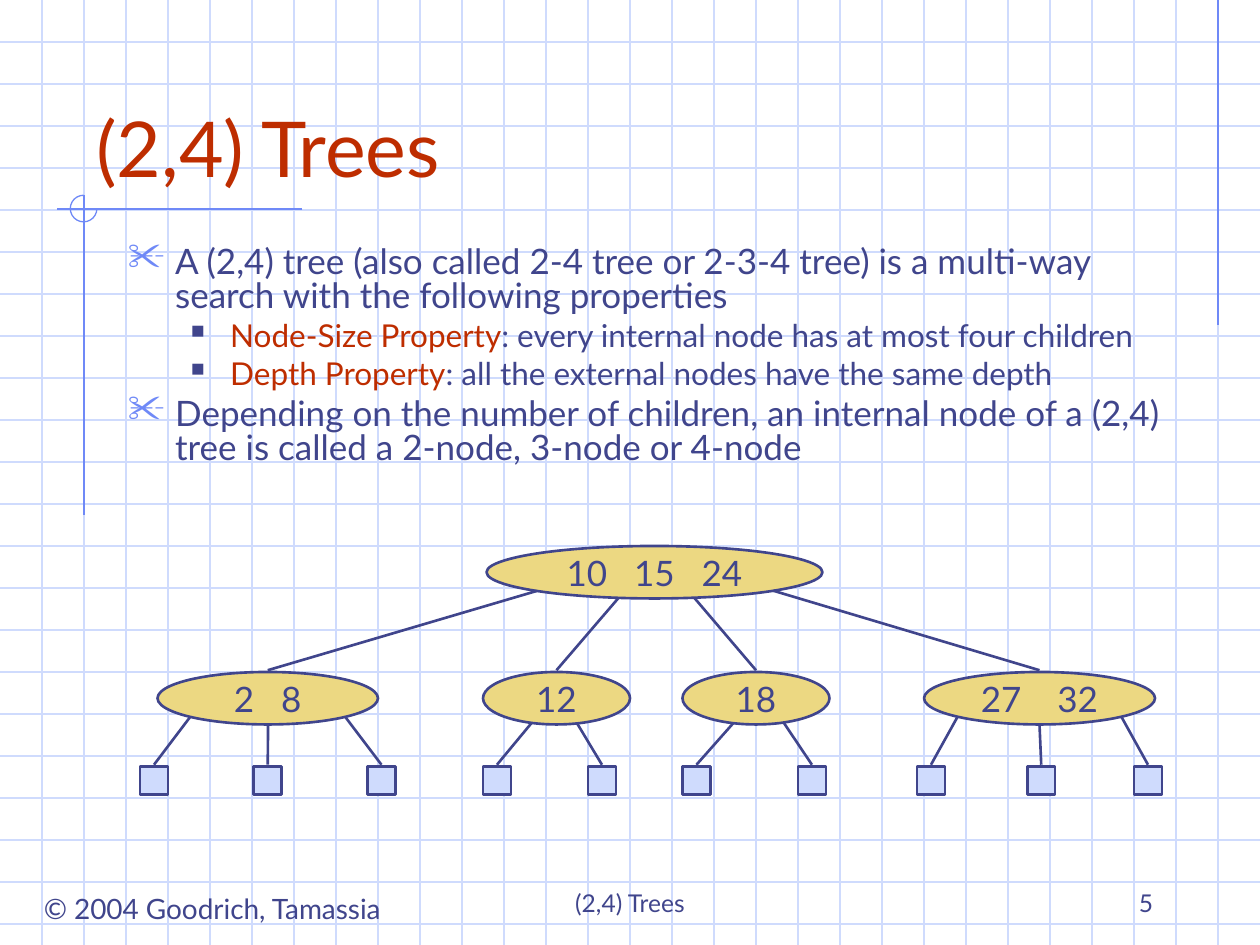
from math import sqrt
from lxml.etree import SubElement
from pptx import Presentation
from pptx.dml.color import RGBColor
from pptx.enum.shapes import MSO_CONNECTOR, MSO_SHAPE
from pptx.enum.text import MSO_ANCHOR, PP_ALIGN
from pptx.oxml.ns import qn
from pptx.util import Pt

FONT = "Lato"
INK, RED, ACCENT = "40458C", "BE2D00", "6F89F7"
PALE, GOLD = "CFDBFD", "ECD882"
WIDTH, HEIGHT, GRID = 720, 540, 24

ACCENT_LINES = [(696, 0, 696, 186), (172.8, 119.5, 32.4, 119.5), (48, 111.6, 48, 294.5)]

LABELS = [
    ("© 2004 Goodrich, Tamassia", (11.5, 506, 219.6, 26.6), 16, INK, PP_ALIGN.CENTER, MSO_ANCHOR.TOP),
    ("(2,4) Trees", (246, 492, 228, 36), 14, INK, PP_ALIGN.CENTER, MSO_ANCHOR.BOTTOM),
    ("5", (516, 492, 150, 36), 14, INK, PP_ALIGN.RIGHT, MSO_ANCHOR.BOTTOM),
    ("(2,4) Trees", (48, 24, 612, 90), 44, RED, PP_ALIGN.LEFT, MSO_ANCHOR.BOTTOM),
]

BODY = [
    (0, [("A (2,4) tree (also called 2-4 tree or 2-3-4 tree) is a multi-way "
          "search with the following properties", INK)]),
    (1, [("Node-Size Property", RED), (": every internal node has at most four children", INK)]),
    (1, [("Depth Property", RED), (": all the external nodes have the same depth", INK)]),
    (0, [("Depending on the number of children, an internal node of a (2,4) "
          "tree is called a 2-node, 3-node or 4-node", INK)]),
]
LEVELS = [
    {"size": 20, "margin": 27, "indent": -27, "before": 5, "bullet": "✂", "color": ACCENT, "percent": 110},
    {"size": 18, "margin": 58.5, "indent": -22.5, "before": 4.5, "bullet": "■", "color": INK, "percent": 60},
]

NODE_HEIGHT, ROOT_TOP, NODE_TOP = 30, 312, 384
LEAF_SIZE, LEAF_TOP = 16, 438
ROOT = ("10   15   24", 278, 192, [306.7, 353.5, 396.7, 442])
NODES = [
    ("2   8", 90, 126, [(108.7, 80), (153.2, 145), (197.3, 210)]),
    ("12", 276, 84, [(303.8, 276), (329.8, 336)]),
    ("18", 390, 84, [(419, 390), (447.8, 456)]),
    ("27    32", 528, 132, [(547.2, 524), (594, 587), (640.8, 648)]),
]


def rgb(value):
    return RGBColor.from_string(value)


def add_line(page, x1, y1, x2, y2, color, weight):
    line = page.shapes.add_connector(MSO_CONNECTOR.STRAIGHT, Pt(x1), Pt(y1), Pt(x2), Pt(y2))
    line.line.color.rgb = rgb(color)
    line.line.width = Pt(weight)
    SubElement(line._element.spPr, qn("a:effectLst"))


def add_shape(page, kind, place, fill, color, weight):
    shape = page.shapes.add_shape(kind, *map(Pt, place))
    shape.shadow.inherit = False
    if fill:
        shape.fill.solid()
        shape.fill.fore_color.rgb = rgb(fill)
    else:
        shape.fill.background()
    shape.line.color.rgb = rgb(color)
    shape.line.width = Pt(weight)
    return shape


def style_span(span, size, color):
    span.font.name = FONT
    span.font.size = Pt(size)
    span.font.color.rgb = rgb(color)


def write_line(frame, text, size, color, align, anchor):
    frame.text = text
    frame.vertical_anchor = anchor
    para = frame.paragraphs[0]
    para.alignment = align
    style_span(para.runs[0], size, color)


def add_bullet(para, level):
    props = para._p.get_or_add_pPr()
    props.set("marL", str(Pt(level["margin"])))
    props.set("indent", str(Pt(level["indent"])))
    color = SubElement(props, qn("a:buClr"))
    SubElement(color, qn("a:srgbClr"), val=level["color"])
    SubElement(props, qn("a:buSzPct"), val=str(level["percent"] * 1000))
    SubElement(props, qn("a:buChar"), char=level["bullet"])


def add_body(page):
    frame = page.shapes.add_textbox(Pt(66), Pt(138), Pt(612), Pt(156)).text_frame
    frame.word_wrap = True
    for index, (depth, spans) in enumerate(BODY):
        para = frame.add_paragraph() if index else frame.paragraphs[0]
        level = LEVELS[depth]
        para.level = depth
        add_bullet(para, level)
        para.line_spacing = 0.8
        if index:
            para.space_before = Pt(level["before"])
        for text, color in spans:
            span = para.add_run()
            span.text = text
            style_span(span, level["size"], color)


def add_node(page, text, left, top, width):
    node = add_shape(page, MSO_SHAPE.OVAL, (left, top, width, NODE_HEIGHT), GOLD, INK, 1.5)
    node.text_frame.word_wrap = False
    write_line(node.text_frame, text, 20, INK, PP_ALIGN.CENTER, MSO_ANCHOR.MIDDLE)


def lower_edge(x, left, top, width):
    offset = (x - left - width / 2) / (width / 2)
    return top + NODE_HEIGHT / 2 * (1 + sqrt(1 - offset ** 2))


def add_tree(page):
    root_text, root_left, root_width, root_exits = ROOT
    add_node(page, root_text, root_left, ROOT_TOP, root_width)
    for root_exit, (text, left, width, leaves) in zip(root_exits, NODES):
        add_node(page, text, left, NODE_TOP, width)
        start = lower_edge(root_exit, root_left, ROOT_TOP, root_width)
        add_line(page, root_exit, start, left + width / 2, NODE_TOP - 1, INK, 1.5)
        for leaf_exit, leaf_left in leaves:
            add_shape(page, MSO_SHAPE.RECTANGLE, (leaf_left, LEAF_TOP, LEAF_SIZE, LEAF_SIZE), PALE, INK, 1.5)
            start = lower_edge(leaf_exit, left, NODE_TOP, width)
            add_line(page, leaf_exit, start, leaf_left + LEAF_SIZE / 2, LEAF_TOP - 1, INK, 1.5)


def add_backdrop(page):
    for y in range(GRID, HEIGHT, GRID):
        add_line(page, 0, y, WIDTH, y, PALE, 0.75)
    for x in range(GRID, WIDTH, GRID):
        add_line(page, x, 0, x, HEIGHT, PALE, 0.75)
    for ends in ACCENT_LINES:
        add_line(page, *ends, ACCENT, 0.75)
    arc = add_shape(page, MSO_SHAPE.ARC, (40.2, 111.6, 15.2, 15.2), None, ACCENT, 0.75)
    arc.adjustments[0] = 0
    arc.adjustments[1] = 162


def main():
    deck = Presentation()
    deck.slide_width, deck.slide_height = Pt(WIDTH), Pt(HEIGHT)
    page = deck.slides.add_slide(deck.slide_layouts[6])
    page.background.fill.solid()
    page.background.fill.fore_color.rgb = rgb("FFFFFF")
    add_backdrop(page)
    for text, place, size, color, align, anchor in LABELS:
        frame = page.shapes.add_textbox(*map(Pt, place)).text_frame
        frame.word_wrap = True
        write_line(frame, text, size, color, align, anchor)
    add_body(page)
    add_tree(page)
    deck.save("out.pptx")


if __name__ == "__main__":
    main()
